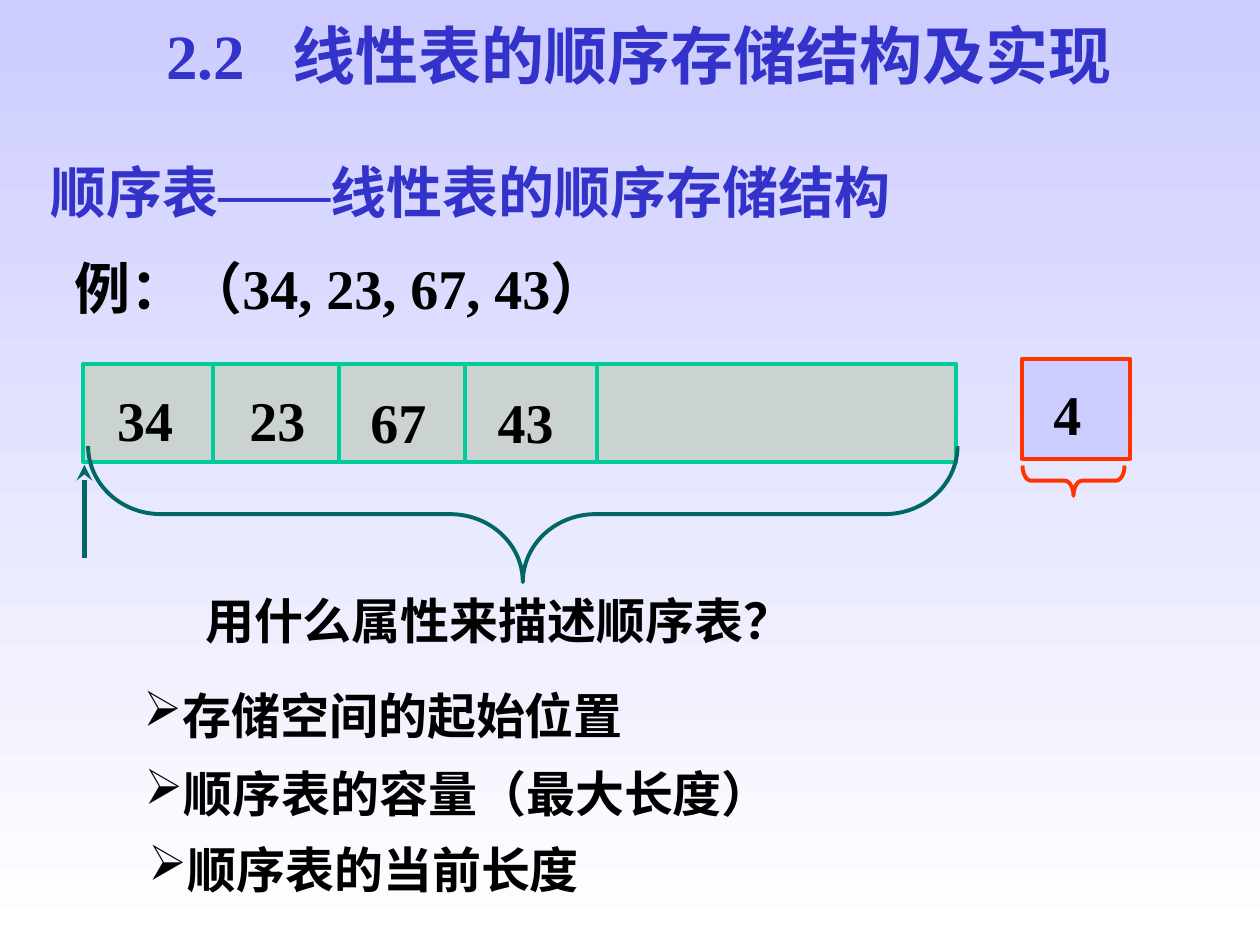
from dataclasses import dataclass

from lxml.etree import SubElement
from pptx import Presentation
from pptx.dml.color import RGBColor
from pptx.enum.shapes import MSO_CONNECTOR, MSO_SHAPE
from pptx.enum.text import MSO_ANCHOR, PP_ALIGN
from pptx.oxml.ns import qn
from pptx.util import Inches, Pt

COLUMNS, ROWS = 100, 75
SLIDE_WIDTH, SLIDE_HEIGHT = Inches(10), Inches(7.5)
SERIF, SANS, ARIAL = "Times New Roman", "Noto Sans CJK SC", "Arial"
BLUE, BLACK, GREEN, TEAL, RED = "3333CC", "000000", "00CC99", "006666", "FF3300"
LAVENDER, GREY, WHITE = "CCCCFF", "CBD3D1", "FFFFFF"
BULLET_INDENT = Inches(0.31)


@dataclass
class Area:
    """A rectangle in grid columns and rows."""
    left: float
    top: float
    width: float
    height: float

    def lengths(self) -> tuple:
        return (across(self.left), down(self.top),
                across(self.width), down(self.height))


@dataclass
class Run:
    text: str
    font: str
    east_asian: str = SANS


@dataclass
class Label:
    area: Area
    runs: list
    size: int
    color: str = BLACK
    insets: tuple = (0.1, 0.05, 0.1, 0.05)
    bullet: str = ""


@dataclass
class Outline:
    preset: MSO_SHAPE
    area: Area
    line: str
    fill: str = ""
    rotation: int = 0
    curl: float = 0


def across(columns: float) -> int:
    return round(SLIDE_WIDTH * columns / COLUMNS)


def down(rows: float) -> int:
    return round(SLIDE_HEIGHT * rows / ROWS)


def rgb(color: str) -> RGBColor:
    return RGBColor.from_string(color)


def set_values(target, values: dict) -> None:
    for name, value in values.items():
        setattr(target, name, value)


def write(shape, label: Label) -> None:
    frame = shape.text_frame
    margins = ("margin_left", "margin_top", "margin_right", "margin_bottom")
    set_values(frame, {"word_wrap": True, "vertical_anchor": MSO_ANCHOR.TOP})
    set_values(frame, dict(zip(margins, map(Inches, label.insets))))
    paragraph = frame.paragraphs[0]
    set_values(paragraph, {"alignment": PP_ALIGN.LEFT, "space_before": Pt(0)})
    if label.bullet:
        properties = paragraph._p.get_or_add_pPr()
        properties.set("marL", str(BULLET_INDENT))
        properties.set("indent", str(-BULLET_INDENT))
        SubElement(properties, qn("a:buChar"), char=label.bullet)
    for part in label.runs:
        run = paragraph.add_run()
        run.text = part.text
        set_values(run.font, {"size": Pt(label.size), "bold": True, "name": part.font})
        run.font.color.rgb = rgb(label.color)
        SubElement(run._r.get_or_add_rPr(), qn("a:ea"), typeface=part.east_asian)


def add_label(slide, label: Label) -> None:
    write(slide.shapes.add_textbox(*label.area.lengths()), label)


def add_title(slide, label: Label, tab_columns: float) -> None:
    title = slide.shapes.title
    set_values(title, dict(zip(("left", "top", "width", "height"), label.area.lengths())))
    properties = title.text_frame.paragraphs[0]._p.get_or_add_pPr()
    stops = SubElement(properties, qn("a:tabLst"))
    SubElement(stops, qn("a:tab"), pos=str(across(tab_columns)), algn="l")
    write(title, label)


def add_outline(slide, outline: Outline):
    shape = slide.shapes.add_shape(outline.preset, *outline.area.lengths())
    shape.shadow.inherit = False
    shape.rotation = outline.rotation
    if outline.fill:
        shape.fill.solid()
        shape.fill.fore_color.rgb = rgb(outline.fill)
    else:
        shape.fill.background()
    shape.line.color.rgb = rgb(outline.line)
    shape.line.width = Pt(2.25)
    if outline.curl:
        shape.adjustments[0] = outline.curl
    return shape


def add_vertical(slide, column: float, start: float, end: float,
                 color: str, width: float, arrow: str = "") -> None:
    line = slide.shapes.add_connector(MSO_CONNECTOR.STRAIGHT, across(column),
                                      down(start), across(column), down(end))
    line.line.color.rgb = rgb(color)
    line.line.width = Pt(width)
    if arrow:
        SubElement(line.line._get_or_add_ln(), qn("a:tailEnd"), type=arrow)
    SubElement(line._element.spPr, qn("a:effectLst"))


TITLE = Label(Area(12.2, 1.3, 81.7, 6), [Run("2.2\t线性表的顺序存储结构及实现", SERIF)],
              36, BLUE, (0.1, 0, 0.1, 0))
STORAGE = Area(6.6, 28.9, 69.3, 7.8)
DIVIDERS = (16.9, 26.9, 36.9, 47.4)
ELEMENTS = (("34", 9.3, 30.1), ("23", 19.8, 30.1), ("67", 29.4, 30.3), ("43", 39.5, 30.3))
ATTRIBUTES = (("存储空间的起始位置", SERIF, 10.4, 53.9),
              ("顺序表的容量（最大长度）", ARIAL, 10.5, 60.1),
              ("顺序表的当前长度", ARIAL, 10.8, 66.1))
STATEMENTS = (
    Label(Area(3, 12, 82.5, 6.3), [Run("顺序表", SANS), Run("——", SERIF, SERIF),
                                   Run("线性表的顺序存储结构", SANS)], 32, BLUE),
    Label(Area(4.9, 19.6, 54, 6.3), [Run("例：（34, 23, 67, 43）", SERIF)],
          32, insets=(0.1, 0.05, 0, 0.05)),
    Label(Area(15.3, 46.4, 51, 5.7), [Run("用什么属性来描述顺序表？", SANS)], 28),
)
BRACES = (
    Outline(MSO_SHAPE.LEFT_BRACE, Area(36.1, 6.3, 10.8, 69), TEAL, rotation=270, curl=0.535),
    Outline(MSO_SHAPE.LEFT_BRACE, Area(84, 34.1, 2.4, 8.1), RED, rotation=270, curl=0.284),
)
LENGTH_AREA = Area(81.1, 28.5, 8.6, 7.9)


def main() -> None:
    deck = Presentation()
    set_values(deck, {"slide_width": SLIDE_WIDTH, "slide_height": SLIDE_HEIGHT})
    slide = deck.slides.add_slide(deck.slide_layouts[5])
    backdrop = slide.background.fill
    backdrop.gradient()
    backdrop.gradient_angle = 270
    for stop, color in zip(backdrop.gradient_stops, (LAVENDER, WHITE)):
        stop.color.rgb = rgb(color)

    add_title(slide, TITLE, 10)
    for statement in STATEMENTS:
        add_label(slide, statement)

    add_outline(slide, Outline(MSO_SHAPE.RECTANGLE, STORAGE, GREEN, GREY))
    for column in DIVIDERS:
        add_vertical(slide, column, STORAGE.top, STORAGE.top + STORAGE.height, GREEN, 2.25)
    for value, left, top in ELEMENTS:
        add_label(slide, Label(Area(left, top, 5.4, 6.3), [Run(value, SERIF)],
                               32, insets=(0, 0.05, 0, 0.05)))

    length_box = add_outline(slide, Outline(MSO_SHAPE.RECTANGLE, LENGTH_AREA, RED, LAVENDER))
    write(length_box, Label(LENGTH_AREA, [Run("4", SERIF)], 32,
                            insets=(0.25, 0.16, 0.1, 0.12)))
    add_vertical(slide, 6.7, 44.3, 36.9, TEAL, 3, "stealth")
    for brace in BRACES:
        add_outline(slide, brace)

    for text, font, left, top in ATTRIBUTES:
        add_label(slide, Label(Area(left, top, 56, 5.7), [Run(text, font)], 28, bullet="➢"))
    deck.save("out.pptx")


if __name__ == "__main__":
    main()
